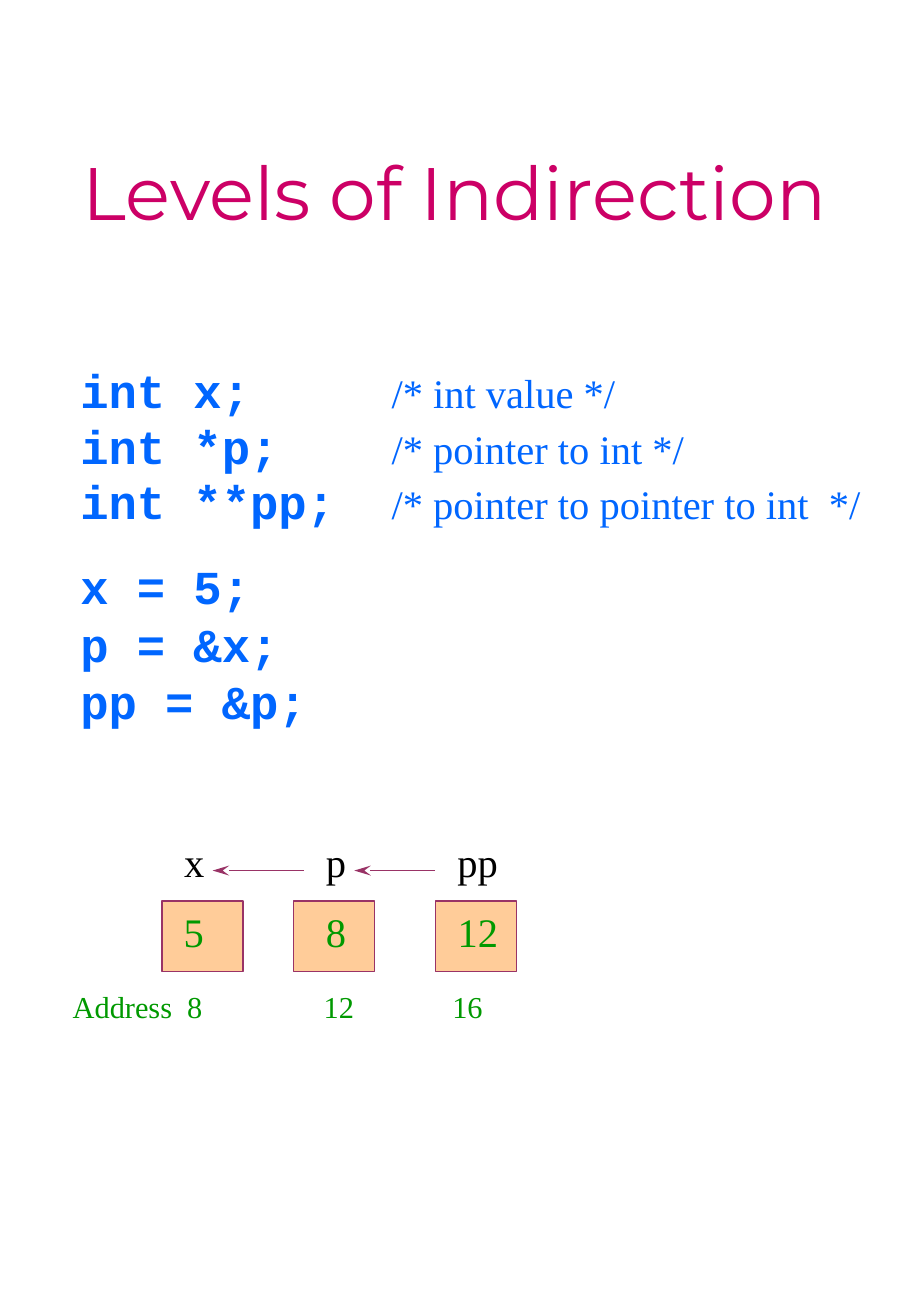
from dataclasses import dataclass
from lxml.etree import SubElement
from pptx import Presentation
from pptx.dml.color import RGBColor
from pptx.enum.shapes import MSO_CONNECTOR, MSO_SHAPE
from pptx.enum.text import MSO_ANCHOR, MSO_AUTO_SIZE, PP_ALIGN
from pptx.oxml.ns import qn
from pptx.util import Inches, Pt


@dataclass(frozen=True)
class Theme:
    title: RGBColor = RGBColor(0xCC, 0x00, 0x66)
    code: RGBColor = RGBColor(0x00, 0x66, 0xFF)
    value: RGBColor = RGBColor(0x00, 0x99, 0x00)
    name: RGBColor = RGBColor(0x00, 0x00, 0x00)
    cell: RGBColor = RGBColor(0xFF, 0xCC, 0x99)
    line: RGBColor = RGBColor(0x99, 0x33, 0x66)
    head: str = "Montserrat"
    mono: str = "Courier New"
    serif: str = "Times New Roman"
    huge: int = 44
    large: int = 28
    medium: int = 24
    small: int = 18


THEME = Theme()
WIDTH, HEIGHT = Inches(7.5), Inches(10.83)
COLS, ROWS = 90, 130
CELL_ROW, CELL_W, CELL_H = 89, 8, 7

DECLS = [
    ("int x;", "/* int value */"),
    ("int *p;", "/* pointer to int */"),
    ("int **pp;", "/* pointer to pointer to int  */"),
]
STEPS = ["x = 5;", "p = &x;", "pp = &p;"]
CELLS = [(16, 2.15, "5"), (29, 3.2, "8"), (43, 2.2, "12")]
ARROWS = [(30, 21), (43, 35)]


def col(n):
    return round(WIDTH * n / COLS)


def row(n):
    return round(HEIGHT * n / ROWS)


def area(x, y, w, h):
    return col(x), row(y), col(w), row(h)


def style(font, face, size, color, bold=False):
    font.name, font.size, font.bold = face, Pt(size), bold
    font.color.rgb = color


def set_tabs(para, stops):
    tabs = SubElement(para._p.get_or_add_pPr(), qn("a:tabLst"))
    for stop in stops:
        SubElement(tabs, qn("a:tab"), pos=str(col(stop)), algn="l")


def add_title(slide, text):
    title = slide.shapes.title
    title.left, title.top, title.width, title.height = area(6.7, 8, 76.5, 21.7)
    frame = title.text_frame
    frame.text = text
    frame.auto_size = MSO_AUTO_SIZE.NONE
    frame.vertical_anchor = MSO_ANCHOR.MIDDLE
    para = frame.paragraphs[0]
    para.alignment = PP_ALIGN.CENTER
    style(para.font, THEME.head, THEME.huge, THEME.title)


def add_box(slide, x, y, w, h):
    frame = slide.shapes.add_textbox(*area(x, y, w, h)).text_frame
    frame.word_wrap = True
    return frame


def add_code(slide):
    frame = add_box(slide, 6.75, 36.2, 83.25, 40)
    for i, (code, note) in enumerate(DECLS):
        para = frame.paragraphs[0] if i == 0 else frame.add_paragraph()
        para.line_spacing = 0.8
        para.space_before = Pt(6 if i else 0)
        set_tabs(para, [30.75])
        run = para.add_run()
        run.text = code + "\t"
        style(run.font, THEME.mono, THEME.large, THEME.code, True)
        run = para.add_run()
        run.text = note
        style(run.font, THEME.serif, THEME.medium, THEME.code)
    for i, code in enumerate(STEPS):
        para = frame.add_paragraph()
        para.text = code
        para.line_spacing = 0.8
        para.space_before = Pt(7 if i else 23.5)
        style(para.font, THEME.mono, THEME.large, THEME.code, True)


def add_row(slide, y, text, stops, size, color):
    para = add_box(slide, 6, y, 52, 6).paragraphs[0]
    para.text = text
    set_tabs(para, stops)
    style(para.font, THEME.serif, size, color)


def add_cell(slide, x, inset, text):
    cell = slide.shapes.add_shape(
        MSO_SHAPE.RECTANGLE, *area(x, CELL_ROW, CELL_W, CELL_H))
    cell.shadow.inherit = False
    cell.fill.solid()
    cell.fill.fore_color.rgb = THEME.cell
    cell.line.color.rgb = THEME.line
    cell.line.width = Pt(0.75)
    frame = cell.text_frame
    frame.margin_left, frame.margin_right = col(inset), 0
    frame.margin_top, frame.margin_bottom = row(0.6), row(1.6)
    frame.vertical_anchor = MSO_ANCHOR.MIDDLE
    para = frame.paragraphs[0]
    para.text = text
    para.alignment = PP_ALIGN.LEFT
    style(para.font, THEME.serif, THEME.medium, THEME.value)


def add_arrow(slide, start, end):
    arrow = slide.shapes.add_connector(
        MSO_CONNECTOR.STRAIGHT, col(start), row(86), col(end), row(86))
    arrow.line.color.rgb = THEME.line
    arrow.line.width = Pt(0.75)
    SubElement(arrow.line._get_or_add_ln(), qn("a:tailEnd"),
               type="stealth", w="med", len="lg")
    SubElement(arrow._element.spPr, qn("a:effectLst"))


def main():
    deck = Presentation()
    deck.slide_width, deck.slide_height = WIDTH, HEIGHT
    slide = deck.slides.add_slide(deck.slide_layouts[5])
    add_title(slide, "Levels of Indirection")
    add_code(slide)
    for cell in CELLS:
        add_cell(slide, *cell)
    add_row(slide, 82.1, "\tx\tp\tpp", [11, 25, 38],
            THEME.medium, THEME.name)
    add_row(slide, 97, "Address\t8\t12\t16", [11.3, 24.8, 37.5],
            THEME.small, THEME.value)
    for arrow in ARROWS:
        add_arrow(slide, *arrow)
    deck.save("out.pptx")


if __name__ == "__main__":
    main()
